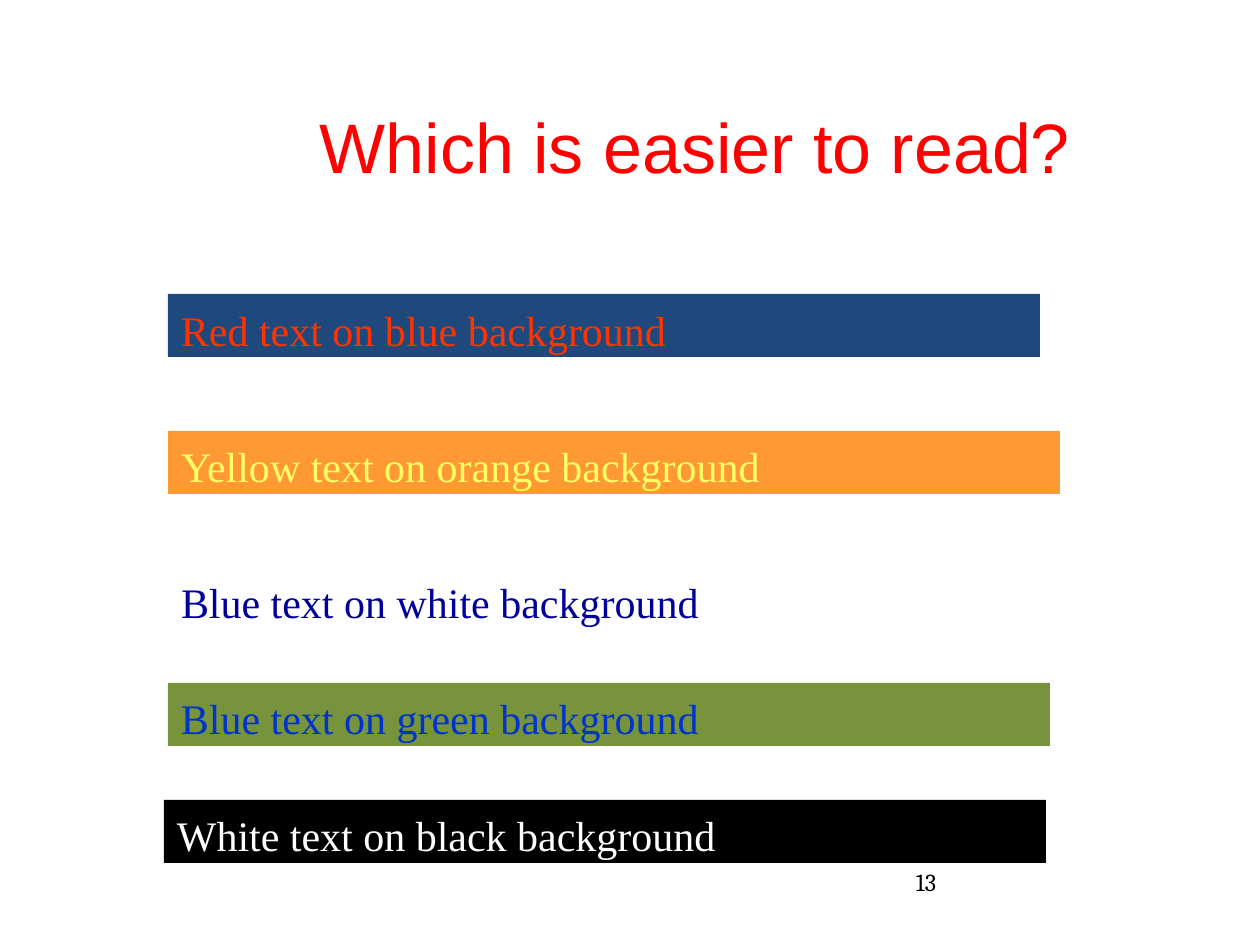
from pptx import Presentation
from pptx.dml.color import RGBColor
from pptx.enum.shapes import MSO_SHAPE
from pptx.enum.text import MSO_ANCHOR, PP_ALIGN
from pptx.util import Pt

PX = 914400 // 126

WHITE = RGBColor(0xFF, 0xFF, 0xFF)
BLACK = RGBColor(0x00, 0x00, 0x00)
TITLE_RED = RGBColor(0xFF, 0x00, 0x00)
RED = RGBColor(0xFF, 0x33, 0x00)
YELLOW = RGBColor(0xFF, 0xFF, 0x66)
NAVY = RGBColor(0x00, 0x00, 0x99)
BLUE = RGBColor(0x00, 0x33, 0xCC)
BAR_BLUE = RGBColor(0x1F, 0x49, 0x7D)
BAR_ORANGE = RGBColor(0xFF, 0x99, 0x33)
BAR_GREEN = RGBColor(0x77, 0x93, 0x3C)

BAR_HEIGHT = 63
SAMPLES = [  # left, top, width, wording, text colour, background
    (168, 294, 872, "Red text on blue background", RED, BAR_BLUE),
    (168, 431, 892, "Yellow text on orange background", YELLOW, BAR_ORANGE),
    (168, 567, 903, "Blue text on white background", NAVY, WHITE),
    (168, 683, 882, "Blue text on green background", BLUE, BAR_GREEN),
    (164, 800, 882, "White text on black background", WHITE, BLACK),
]


def to_emu(box):
    return [length * PX for length in box]


def write(shape, wording, font_name, size, color, align=PP_ALIGN.LEFT,
          inset_left=13, inset_top=6):
    """Fill a shape with one top-anchored line of formatted text."""
    frame = shape.text_frame
    frame.text = wording
    frame.word_wrap = True
    frame.vertical_anchor = MSO_ANCHOR.TOP
    frame.margin_left = inset_left * PX
    frame.margin_top = inset_top * PX
    frame.margin_bottom = 4 * PX
    line = frame.paragraphs[0]
    line.alignment = align
    font = line.runs[0].font
    font.name, font.size = font_name, Pt(size)
    font.color.rgb = color


def add_title(slide, box):
    title = slide.shapes.add_textbox(*to_emu(box))
    write(title, "Which is easier to read?", "Arial", 40, TITLE_RED,
          PP_ALIGN.CENTER, inset_left=141, inset_top=20)


def add_sample(slide, box, wording, text_color, background):
    bar = slide.shapes.add_shape(MSO_SHAPE.RECTANGLE, *to_emu(box))
    bar.shadow.inherit = False
    bar.fill.solid()
    bar.fill.fore_color.rgb = background
    bar.line.fill.background()
    write(bar, wording, "Times New Roman", 24, text_color, inset_top=10)


def add_page_number(slide, box):
    number = slide.shapes.add_textbox(*to_emu(box))
    write(number, "13", "Cambria", 14, BLACK)


def main():
    prs = Presentation()
    prs.slide_width, prs.slide_height = to_emu((1260, 945))
    slide = prs.slides.add_slide(prs.slide_layouts[6])
    add_title(slide, (95, 84, 1071, 158))
    for left, top, width, *sample in SAMPLES:
        add_sample(slide, (left, top, width, BAR_HEIGHT), *sample)
    add_page_number(slide, (903, 861, 262, 63))
    prs.save("out.pptx")


if __name__ == "__main__":
    main()
